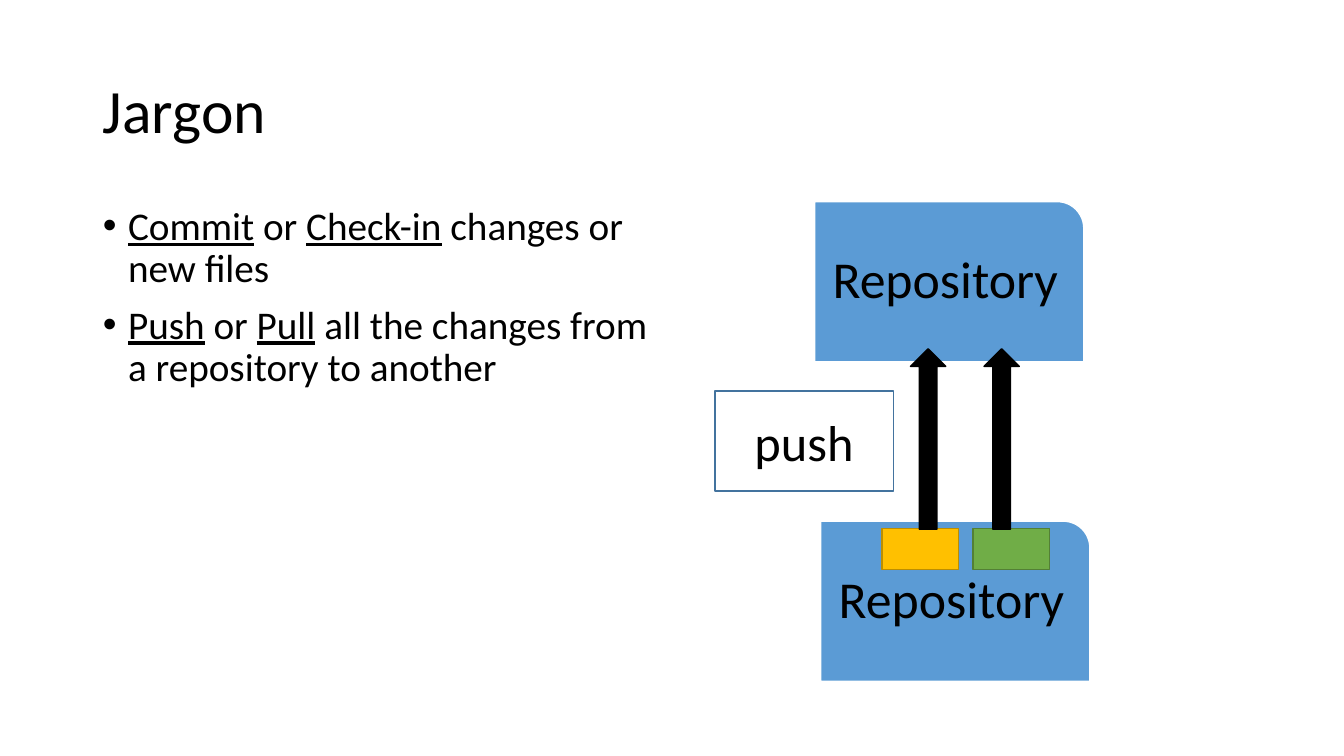
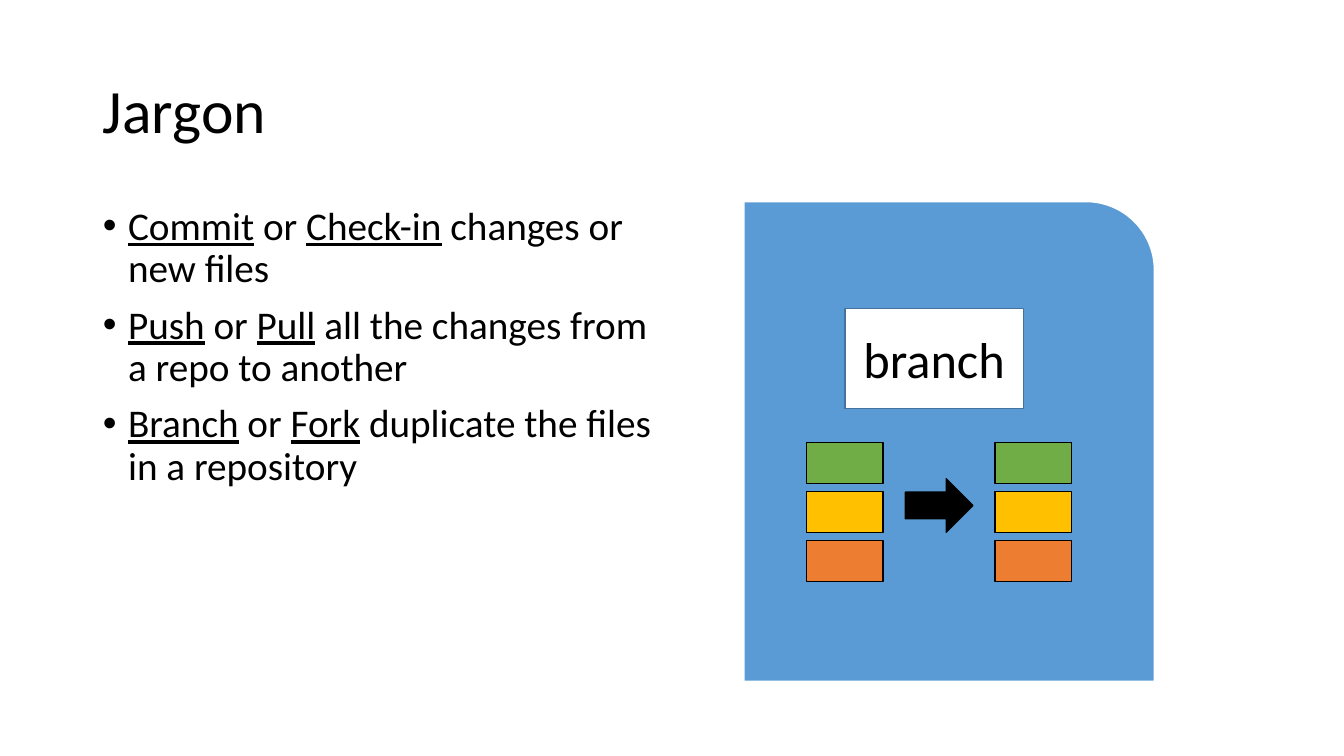
from lxml import etree
from pptx import Presentation
from pptx.dml.color import RGBColor
from pptx.enum.shapes import MSO_SHAPE
from pptx.enum.text import MSO_ANCHOR, MSO_AUTO_SIZE, PP_ALIGN
from pptx.oxml.ns import qn
from pptx.util import Inches, Pt

RECTANGLE = MSO_SHAPE.RECTANGLE
ROUNDED_CORNER = MSO_SHAPE.ROUND_1_RECTANGLE
UP_ARROW = MSO_SHAPE.UP_ARROW
RIGHT_ARROW = MSO_SHAPE.RIGHT_ARROW
MIDDLE = MSO_ANCHOR.MIDDLE
TOP = MSO_ANCHOR.TOP
LEFT = PP_ALIGN.LEFT
CENTER = PP_ALIGN.CENTER
NO_AUTOFIT = MSO_AUTO_SIZE.NONE

BLACK = RGBColor(0x00, 0x00, 0x00)
WHITE = RGBColor(0xFF, 0xFF, 0xFF)
BLUE = RGBColor(0x5B, 0x9B, 0xD5)
DARK_BLUE = RGBColor(0x43, 0x73, 0x9E)
GOLD = RGBColor(0xFF, 0xC0, 0x00)
DARK_GOLD = RGBColor(0xBD, 0x8E, 0x00)
GREEN = RGBColor(0x70, 0xAD, 0x47)
DARK_GREEN = RGBColor(0x53, 0x80, 0x35)
ORANGE = RGBColor(0xED, 0x7D, 0x31)

FONT = "Calibri"
TITLE_AND_CONTENT = 1
FILE_WIDTH, FILE_HEIGHT = 0.76, 0.41

COMMIT = ("Commit", "Check-in", "changes or new files")
PUSH_REPOSITORY = ("Push", "Pull", "all the changes from a repository to another")
PUSH_REPO = ("Push", "Pull", "all the changes from a repo to another")
BRANCH = ("Branch", "Fork", "duplicate the files in a repository")


def place(shape, left, top, width, height):
    shape.left, shape.top = Inches(left), Inches(top)
    shape.width, shape.height = Inches(width), Inches(height)


def format_paragraph(paragraph, size, alignment, line_spacing=0.9):
    paragraph.alignment = alignment
    paragraph.line_spacing = line_spacing
    for run in paragraph.runs:
        run.font.name = FONT
        run.font.size = Pt(size)
        run.font.color.rgb = BLACK


def add_bullet(paragraph):
    properties = paragraph._p.get_or_add_pPr()
    properties.set("marL", str(Inches(0.25)))
    properties.set("indent", str(Inches(-0.25)))
    etree.SubElement(properties, qn("a:buFont"), typeface="Arial")
    etree.SubElement(properties, qn("a:buChar"), char="•")


def add_term_pair(paragraph, first_term, second_term, meaning):
    pieces = ((first_term, True), (" or ", False), (second_term, True), (" " + meaning, False))
    for text, underlined in pieces:
        run = paragraph.add_run()
        run.text = text
        run.font.underline = underlined
    format_paragraph(paragraph, 28, LEFT)
    paragraph.space_before = Pt(10)
    add_bullet(paragraph)


def add_jargon_slide(presentation, definitions):
    slide = presentation.slides.add_slide(presentation.slide_layouts[TITLE_AND_CONTENT])
    title, body = slide.placeholders
    place(title, 0.92, 0.4, 11.5, 1.45)
    title.text_frame.text = "Jargon"
    title.text_frame.vertical_anchor = MIDDLE
    format_paragraph(title.text_frame.paragraphs[0], 44, LEFT)
    place(body, 0.92, 2, 5.67, 4.76)
    body.text_frame.vertical_anchor = TOP
    for index, definition in enumerate(definitions):
        frame = body.text_frame
        paragraph = frame.add_paragraph() if index else frame.paragraphs[0]
        add_term_pair(paragraph, *definition)
    for placeholder in (title, body):
        placeholder.text_frame.auto_size = NO_AUTOFIT
    return slide


def add_block(slide, kind, left, top, width, height, fill, line=BLACK):
    shape = slide.shapes.add_shape(kind, Inches(left), Inches(top), Inches(width), Inches(height))
    shape.shadow.inherit = False
    shape.fill.solid()
    shape.fill.fore_color.rgb = fill
    shape.line.color.rgb = line
    shape.line.width = Pt(1)
    return shape


def write_label(shape, text, size, line_spacing=1.0):
    frame = shape.text_frame
    frame.text = text
    frame.word_wrap = True
    frame.vertical_anchor = MIDDLE
    format_paragraph(frame.paragraphs[0], size, CENTER, line_spacing)


def add_repository(slide, left, top):
    repository = add_block(slide, ROUNDED_CORNER, left, top, 2.67, 1.59, BLUE, WHITE)
    write_label(repository, "Repository", 37, 0.9)
    frame = repository.text_frame
    frame.margin_left = frame.margin_right = Inches(0.15)
    frame.margin_top = frame.margin_bottom = Inches(0.15)


def add_action(slide, left, top, text):
    action = add_block(slide, RECTANGLE, left, top, 1.77, 0.99, WHITE, DARK_BLUE)
    write_label(action, text, 36)


def add_file(slide, left, top, fill, line=BLACK):
    add_block(slide, RECTANGLE, left, top, FILE_WIDTH, FILE_HEIGHT, fill, line)


def add_file_stack(slide, left):
    for row, color in enumerate((GREEN, GOLD, ORANGE)):
        add_file(slide, left, 4.39 + row * 0.485, color)


def build_push_slide(presentation):
    slide = add_jargon_slide(presentation, (COMMIT, PUSH_REPOSITORY))
    add_repository(slide, 8.08, 2)
    add_repository(slide, 8.14, 5.17)
    add_file(slide, 8.75, 5.24, GOLD, DARK_GOLD)
    add_file(slide, 9.65, 5.24, GREEN, DARK_GREEN)
    for left in (9.03, 9.76):
        add_block(slide, UP_ARROW, left, 3.46, 0.35, 1.79, BLACK)
    add_action(slide, 7.09, 3.88, "push")


def build_branch_slide(presentation):
    slide = add_jargon_slide(presentation, (COMMIT, PUSH_REPO, BRANCH))
    add_block(slide, ROUNDED_CORNER, 7.38, 2, 4.07, 4.76, BLUE, WHITE)
    add_action(slide, 8.38, 3.06, "branch")
    for left in (8, 9.87):
        add_file_stack(slide, left)
    add_block(slide, RIGHT_ARROW, 8.98, 4.75, 0.67, 0.53, BLACK)


def main():
    presentation = Presentation()
    presentation.slide_width = Inches(13.33)
    presentation.slide_height = Inches(7.5)
    build_push_slide(presentation)
    build_branch_slide(presentation)
    presentation.save("out.pptx")


main()
